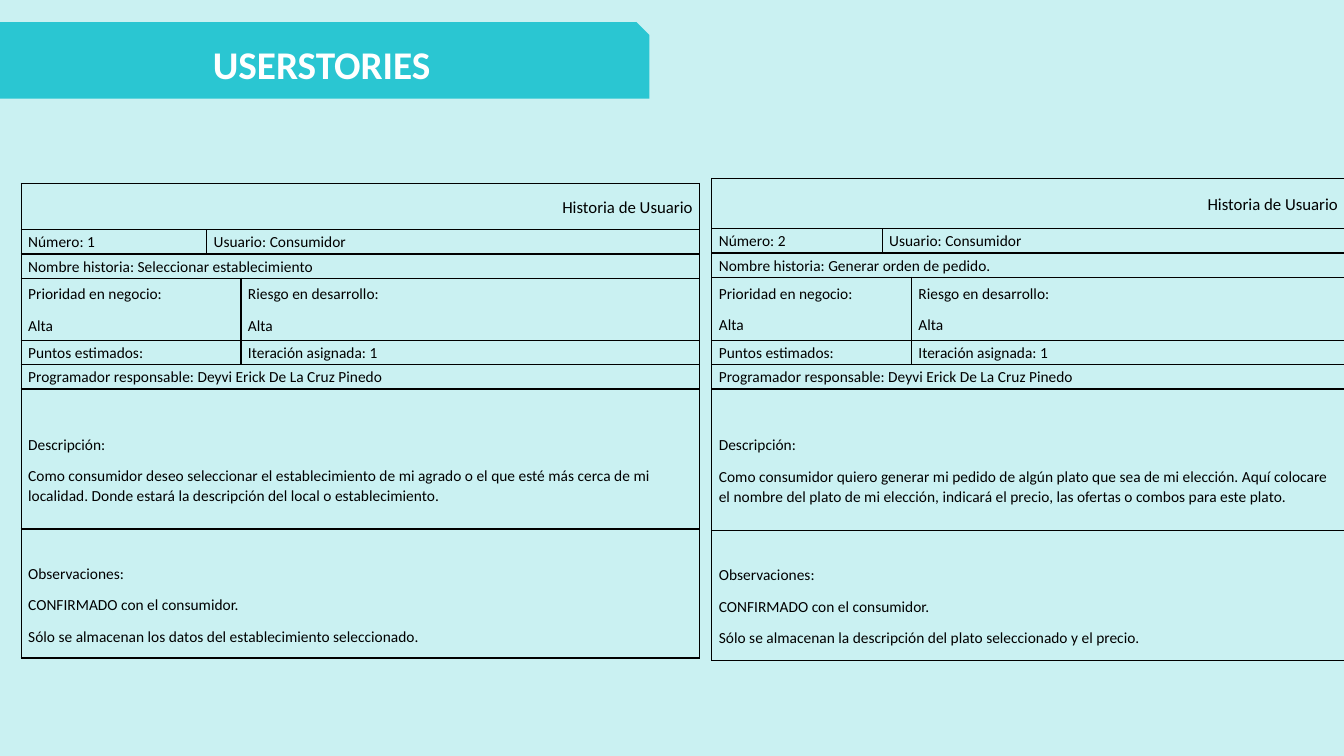
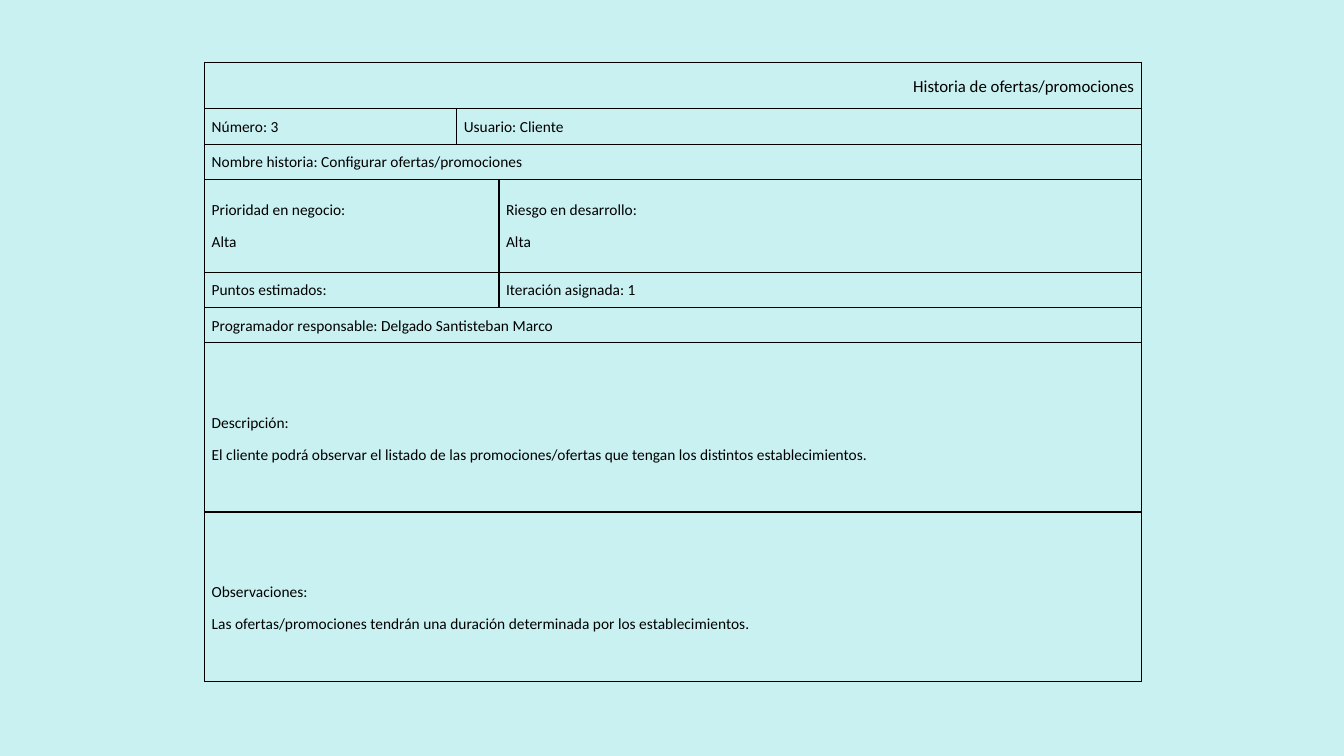
"""Build two slides of user story cards laid out as tables."""
from lxml.etree import SubElement
from pptx import Presentation
from pptx.dml.color import RGBColor
from pptx.enum.shapes import MSO_SHAPE as Shape
from pptx.enum.text import MSO_ANCHOR as Anchor, PP_ALIGN as Align
from pptx.oxml.ns import qn
from pptx.util import Inches, Pt

COLORS = {"background": "CAF1F2", "banner": "2AC6D2", "title": "FFFFFF", "ink": "000000"}
FONT = "Calibri"
BORDER_SIDES = ("a:lnL", "a:lnR", "a:lnT", "a:lnB")
CELL_FORMAT = {
    "margin_left": Inches(0.07), "margin_right": Inches(0.07),
    "margin_top": 0, "margin_bottom": 0, "vertical_anchor": Anchor.MIDDLE,
}
HEADER_FORMAT = {"alignment": Align.RIGHT, "line_spacing": 1.07}
BODY_FORMAT = {"line_spacing": 1.07, "space_after": Pt(8)}
TITLE_FORMAT = {"name": FONT, "size": Pt(28), "bold": True}
LONG_TEXT_TOP = Inches(0.22)

STORIES = [
    {
        "slide": 0, "left": 0.21, "top": 1.82,
        "columns": [1.84, 0.34, 4.55],
        "rows": [0.46, 0.24, 0.24, 0.62, 0.24, 0.24, 1.39, 1.28],
        "header": "Historia de Usuario", "number": 1, "user": "Consumidor",
        "name": "Seleccionar establecimiento",
        "developer": "Deyvi Erick De La Cruz Pinedo",
        "description": "Como consumidor deseo seleccionar el establecimiento de mi agrado "
                       "o el que esté más cerca de mi localidad. Donde estará la descripción "
                       "del local o establecimiento.",
        "notes": ["CONFIRMADO con el consumidor.",
                  "Sólo se almacenan los datos del establecimiento seleccionado."],
    },
    {
        "slide": 0, "left": 7.06, "top": 1.77,
        "columns": [1.69, 0.29, 4.3],
        "rows": [0.5, 0.24, 0.24, 0.63, 0.24, 0.24, 1.4, 1.29],
        "header": "Historia de Usuario", "number": 2, "user": "Consumidor",
        "name": "Generar orden de pedido.",
        "developer": "Deyvi Erick De La Cruz Pinedo",
        "description": "Como consumidor quiero generar mi pedido de algún plato que sea de mi "
                       "elección. Aquí colocare el nombre del plato de mi elección, indicará "
                       "el precio, las ofertas o combos para este plato.",
        "notes": ["CONFIRMADO con el consumidor.",
                  "Sólo se almacenan la descripción del plato seleccionado y el precio."],
    },
    {
        "slide": 1, "left": 2.03, "top": 0.62,
        "columns": [2.5, 0.42, 6.37],
        "rows": [0.46, 0.35, 0.35, 0.92, 0.35, 0.35, 1.68, 1.68],
        "header": "Historia de ofertas/promociones", "number": 3, "user": "Cliente",
        "name": "Configurar ofertas/promociones",
        "developer": "Delgado Santisteban Marco",
        "description": "El cliente podrá observar el listado de las promociones/ofertas que "
                       "tengan los distintos establecimientos.",
        "notes": ["Las ofertas/promociones tendrán una duración determinada por los "
                  "establecimientos."],
    },
]


def apply_format(target, values):
    for name, value in values.items():
        setattr(target, name, value)


def format_cell(cell):
    apply_format(cell, CELL_FORMAT)
    properties = cell._tc.get_or_add_tcPr()
    for side in BORDER_SIDES:
        line = SubElement(properties, qn(side), w=str(Pt(1)))
        fill = SubElement(line, qn("a:solidFill"))
        SubElement(fill, qn("a:srgbClr"), val=COLORS["ink"])
    cell.fill.background()


deck = Presentation()
deck.slide_width, deck.slide_height = Inches(13.33), Inches(7.5)
backdrop = deck.slide_master.background.fill
backdrop.solid()
backdrop.fore_color.rgb = RGBColor.from_string(COLORS["background"])
pages = [deck.slides.add_slide(deck.slide_layouts[index]) for index in (5, 6)]

banner = pages[0].shapes.add_shape(
    Shape.SNIP_1_RECTANGLE, 0, Inches(0.22), Inches(6.44), Inches(0.76))
banner.shadow.inherit = False
banner.fill.solid()
banner.fill.fore_color.rgb = RGBColor.from_string(COLORS["banner"])
banner.line.fill.background()

title = pages[0].shapes.title
apply_format(title, {"left": 0, "top": Inches(0.28),
                     "width": Inches(6.38), "height": Inches(0.7)})
title.text_frame.text = "USERSTORIES"
title.text_frame.vertical_anchor = Anchor.MIDDLE
title_para = title.text_frame.paragraphs[0]
title_para.alignment = Align.CENTER
apply_format(title_para.runs[0].font, TITLE_FORMAT)
title_para.runs[0].font.color.rgb = RGBColor.from_string(COLORS["title"])
banner.element.addnext(title.element)

for story in STORIES:
    columns, rows = story["columns"], story["rows"]
    table = pages[story["slide"]].shapes.add_table(
        len(rows), len(columns), Inches(story["left"]), Inches(story["top"]),
        Inches(sum(columns)), Inches(sum(rows))).table
    apply_format(table, {"first_row": False, "horz_banding": False})
    for column, width in zip(table.columns, columns):
        column.width = Inches(width)
    for row, height in zip(table.rows, rows):
        row.height = Inches(height)
    for cell in table.iter_cells():
        format_cell(cell)

    contents = [
        {(0, 2): [story["header"]]},
        {(0, 0): [f"Número: {story['number']}"], (1, 2): [f"Usuario: {story['user']}"]},
        {(0, 2): [f"Nombre historia: {story['name']}"]},
        {(0, 1): ["Prioridad en negocio:", "Alta"], (2, 2): ["Riesgo en desarrollo:", "Alta"]},
        {(0, 1): ["Puntos estimados:"], (2, 2): ["Iteración asignada: 1"]},
        {(0, 2): [f"Programador responsable: {story['developer']}"]},
        {(0, 2): ["Descripción:", story["description"]]},
        {(0, 2): ["Observaciones:", *story["notes"]]},
    ]
    for row_index, row_content in enumerate(contents):
        is_header = row_index == 0
        for (first, last), lines in row_content.items():
            cell = table.cell(row_index, first)
            if last > first:
                cell.merge(table.cell(row_index, last))
            if row_index >= 6:
                cell.margin_top = LONG_TEXT_TOP
            cell.text_frame.text = "\n".join(lines)
            for para in cell.text_frame.paragraphs:
                apply_format(para, HEADER_FORMAT if is_header else BODY_FORMAT)
                span = para.runs[0]
                apply_format(span.font, {"name": FONT, "size": Pt(12 if is_header else 11)})
                span.font.color.rgb = RGBColor.from_string(COLORS["ink"])

deck.save("out.pptx")
